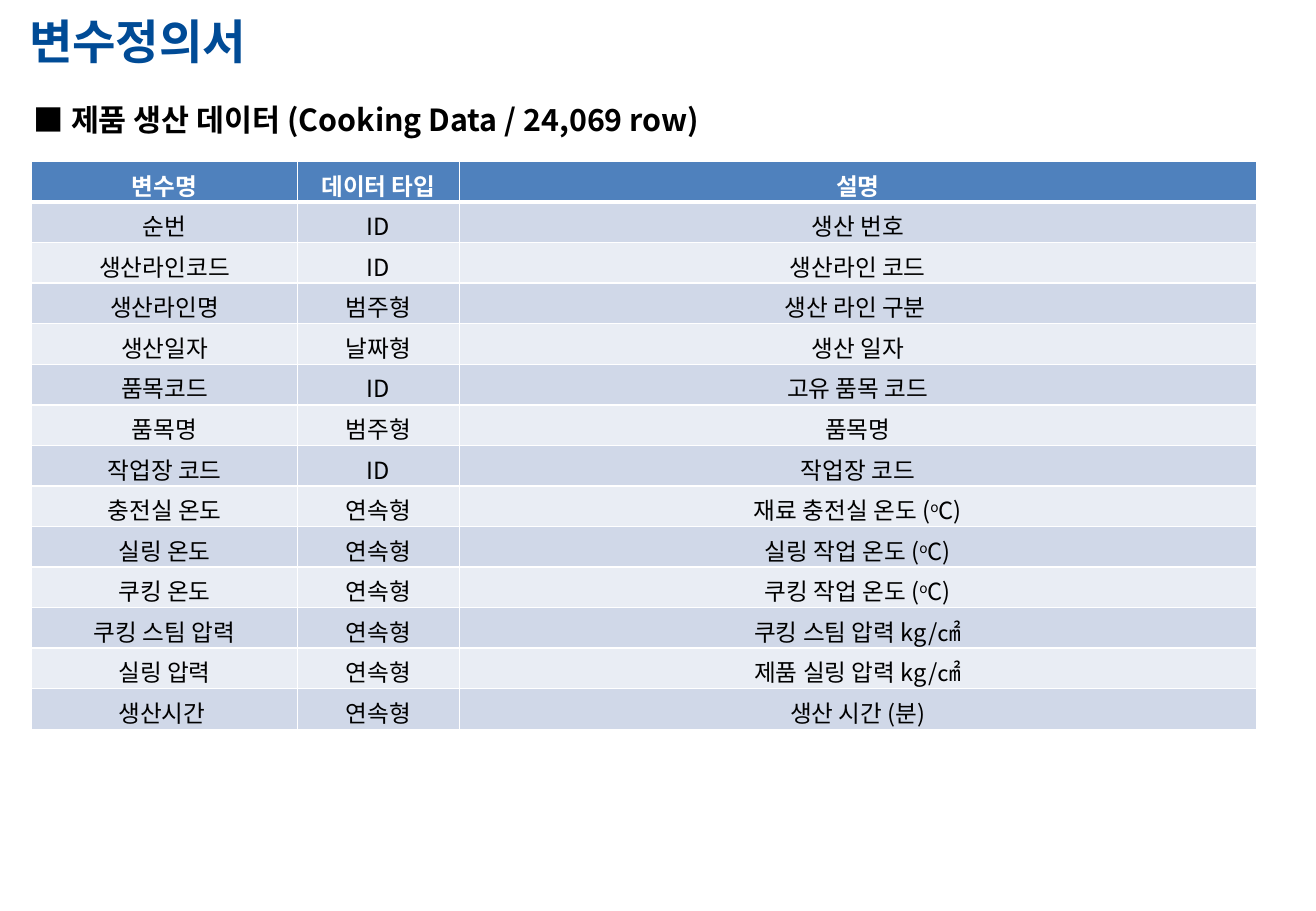
from dataclasses import dataclass

from lxml.etree import SubElement
from pptx import Presentation
from pptx.dml.color import RGBColor
from pptx.enum.text import MSO_ANCHOR as Anchor, MSO_AUTO_SIZE as AutoSize, PP_ALIGN as Align
from pptx.oxml.ns import qn
from pptx.util import Inches, Pt


@dataclass(frozen=True)
class Theme:
    """Font, colours and type sizes of the slide."""
    font: str = "Noto Sans CJK KR"
    title: str = "004B96"
    text: str = "000000"
    white: str = "FFFFFF"
    header: str = "4F81BD"
    bands: tuple = ("D0D8E8", "E9EDF4")
    title_size: int = 28
    heading_size: int = 18
    table_size: int = 14


THEME = Theme()
COLUMN_WIDTHS = (2.19, 1.33, 6.56)
ROW_HEIGHT = 0.33
HEADER = ("변수명", "데이터 타입", "설명")
VARIABLES = (
    ("순번", "ID", "생산 번호"),
    ("생산라인코드", "ID", "생산라인 코드"),
    ("생산라인명", "범주형", "생산 라인 구분 "),
    ("생산일자", "날짜형", "생산 일자"),
    ("품목코드", "ID", "고유 품목 코드"),
    ("품목명", "범주형", "품목명"),
    ("작업장 코드", "ID", "작업장 코드"),
    ("충전실 온도", "연속형", "재료 충전실 온도 (^o^C)"),
    ("실링 온도", "연속형", "실링 작업 온도 (^o^C)"),
    ("쿠킹 온도", "연속형", "쿠킹 작업 온도 (^o^C)"),
    ("쿠킹 스팀 압력", "연속형", "쿠킹 스팀 압력 kg/㎠"),
    ("실링 압력", "연속형", "제품 실링 압력 kg/㎠"),
    ("생산시간 ", "연속형", "생산 시간 (분)"),
)


def write_text(frame, text, *, size, color=THEME.text, bold=False, align=Align.LEFT):
    """Write one formatted paragraph, raising the parts between carets."""
    paragraph = frame.paragraphs[0]
    paragraph.alignment = align
    for index, part in enumerate(text.split("^")):
        run = paragraph.add_run()
        run.text = part
        run.font.size = Pt(size)
        run.font.bold = bold
        run.font.name = THEME.font
        run.font.color.rgb = RGBColor.from_string(color)
        properties = run._r.get_or_add_rPr()
        properties.set("kern", "0")
        SubElement(properties, qn("a:ea"), typeface=THEME.font)
        if index % 2:
            properties.set("baseline", "30000")


def place_text(shape, text, left, top, width, height, **text_format):
    """Place a text shape and fill it with top-anchored text."""
    shape.left, shape.top = Inches(left), Inches(top)
    shape.width, shape.height = Inches(width), Inches(height)
    frame = shape.text_frame
    frame.word_wrap = True
    frame.auto_size = AutoSize.NONE
    frame.vertical_anchor = Anchor.TOP
    write_text(frame, text, **text_format)


def add_borders(cell, top, bottom):
    """Draw white cell borders with the given top and bottom widths."""
    properties = cell._tc.get_or_add_tcPr()
    for side, width in (("L", 1), ("R", 1), ("T", top), ("B", bottom)):
        line = SubElement(properties, qn(f"a:ln{side}"), w=str(Pt(width)))
        fill = SubElement(line, qn("a:solidFill"))
        SubElement(fill, qn("a:srgbClr"), val=THEME.white)


def add_variable_table(slide, left, top):
    """Add the banded table of variable definitions."""
    rows = (HEADER, *VARIABLES)
    table = slide.shapes.add_table(
        len(rows), len(HEADER), Inches(left), Inches(top),
        Inches(sum(COLUMN_WIDTHS)), Inches(ROW_HEIGHT * len(rows))).table
    for column, width in zip(table.columns, COLUMN_WIDTHS):
        column.width = Inches(width)
    for row_index, texts in enumerate(rows):
        is_header = row_index == 0
        fill = THEME.header if is_header else THEME.bands[(row_index - 1) % 2]
        for column_index, text in enumerate(texts):
            cell = table.cell(row_index, column_index)
            cell.margin_top, cell.margin_bottom = Inches(0.05), Inches(0)
            add_borders(cell, top=3 if row_index == 1 else 1, bottom=3 if is_header else 1)
            cell.fill.solid()
            cell.fill.fore_color.rgb = RGBColor.from_string(fill)
            write_text(cell.text_frame, text, size=THEME.table_size, bold=is_header,
                       color=THEME.white if is_header else THEME.text, align=Align.CENTER)


def main():
    """Build and save the variable definition slide."""
    presentation = Presentation()
    presentation.slide_width, presentation.slide_height = Inches(10.83), Inches(7.5)
    slide = presentation.slides.add_slide(presentation.slide_layouts[5])
    place_text(slide.shapes.title, "변수정의서", 0.14, 0.05, 7.25, 0.57,
               size=THEME.title_size, color=THEME.title, bold=True)
    add_variable_table(slide, 0.26, 1.33)
    heading = slide.shapes.add_textbox(0, 0, 0, 0)
    place_text(heading, "■ 제품 생산 데이터 (Cooking Data / 24,069 row)", 0.18, 0.78, 7.66, 0.4,
               size=THEME.heading_size, bold=True)
    presentation.save("out.pptx")


if __name__ == "__main__":
    main()
